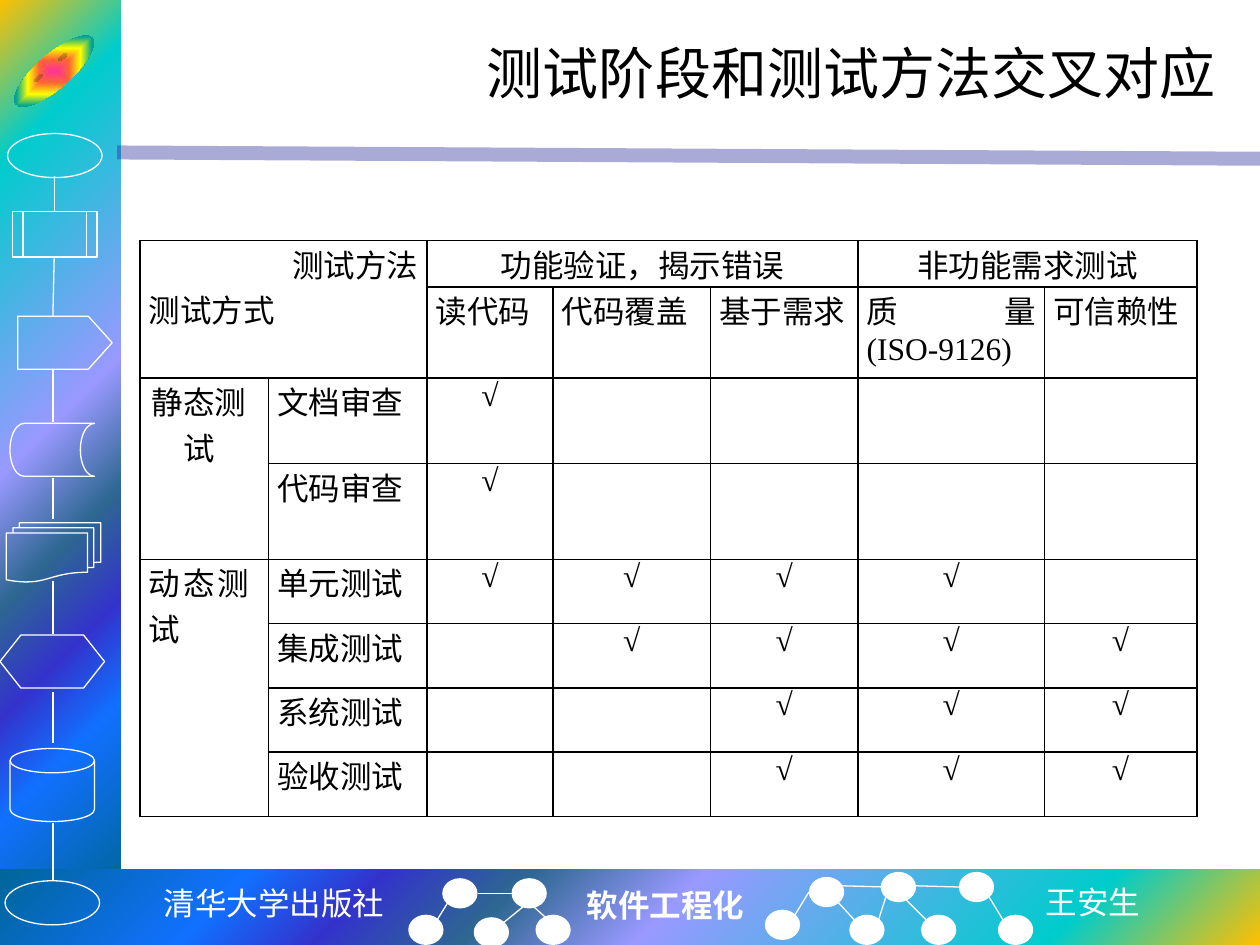
"""Build the slide that crosses test stages with test methods."""
from lxml import etree
from pptx import Presentation
from pptx.dml.color import RGBColor
from pptx.enum.shapes import MSO_CONNECTOR, MSO_SHAPE
from pptx.enum.text import MSO_ANCHOR, MSO_AUTO_SIZE, PP_ALIGN
from pptx.oxml.ns import qn
from pptx.util import Inches, Pt

STRAIGHT = MSO_CONNECTOR.STRAIGHT
RECTANGLE, OVAL, SMILEY = MSO_SHAPE.RECTANGLE, MSO_SHAPE.OVAL, MSO_SHAPE.SMILEY_FACE
LEFT, CENTER, RIGHT, JUSTIFY = PP_ALIGN.LEFT, PP_ALIGN.CENTER, PP_ALIGN.RIGHT, PP_ALIGN.JUSTIFY

BLACK = RGBColor(0x00, 0x00, 0x00)
WHITE = RGBColor(0xFF, 0xFF, 0xFF)
RULE_BLUE = RGBColor(0x26, 0x26, 0x99)
SERIF, SANS, MONO = "Times New Roman", "Noto Sans CJK SC", "Noto Sans Mono"

BAND_STOPS = [(0, "FFC000"), (16, "00CCCC"), (47, "9999FF"), (60, "2E6792"),
              (71, "3333CC"), (81, "1170FF"), (100, "006699")]
FACE_STOPS = [(0, "FF3399"), (25, "FF6633"), (50, "FFFF00"), (75, "01A78F"), (100, "3366FF")]
BANDS = [((0, 0, 0.96, 7.09), (0, 0, 100, 100)), ((0, 6.9, 10, 0.6), (100, 100, 0, 0))]

FLOW_SYMBOLS = [
    (OVAL, (0.06, 1.06, 0.75, 0.35)),
    (MSO_SHAPE.FLOWCHART_PREDEFINED_PROCESS, (0.1, 1.68, 0.67, 0.36)),
    (MSO_SHAPE.PENTAGON, (0.14, 2.51, 0.75, 0.42)),
    (MSO_SHAPE.FLOWCHART_STORED_DATA, (0.08, 3.36, 0.67, 0.42)),
    (MSO_SHAPE.FLOWCHART_MULTIDOCUMENT, (0.05, 4.15, 0.75, 0.47)),
    (MSO_SHAPE.FLOWCHART_PREPARATION, (0, 5.04, 0.83, 0.42)),
    (MSO_SHAPE.FLOWCHART_MAGNETIC_DISK, (0.08, 5.94, 0.67, 0.58)),
    (OVAL, (0.04, 6.99, 0.75, 0.35)),
]
FLOW_LINKS = [
    (0.43, 1.4, 0.43, 1.68), (0.43, 2.05, 0.42, 2.51), (0.42, 2.93, 0.42, 3.35),
    (0.42, 3.79, 0.42, 4.12), (0.42, 4.61, 0.42, 5.03), (0.42, 5.49, 0.42, 5.9),
    (0.42, 6.53, 0.42, 6.99),
]
NODE_SIZE = (0.28, 0.24)
NODES = [
    (3.51, 6.97), (4.06, 6.97), (3.24, 7.26), (3.76, 7.28), (4.25, 7.26), (6.42, 6.96),
    (6.99, 6.92), (7.61, 6.92), (6.07, 7.22), (6.74, 7.26), (7.31, 7.26), (7.92, 7.26),
]
NODE_LINKS = [
    (3.47, 7.3, 3.55, 7.17), (4, 7.32, 4.16, 7.19), (4.06, 7.09, 3.79, 7.09),
    (4.34, 7.29, 4.24, 7.2), (6.78, 7.3, 6.65, 7.16), (7.35, 7.3, 7.15, 7.1),
    (7.96, 7.3, 7.85, 7.12), (6.97, 7.31, 7.03, 7.12), (7.26, 7.03, 7.61, 7.04),
    (6.31, 7.26, 6.42, 7.08), (6.68, 7.03, 7.03, 7.04),
]
FOOTERS = [
    ("清华大学出版社", (1.19, 6.97, 1.97, 0.4), CENTER, MONO, False),
    ("软件工程化", (4.56, 6.98, 1.46, 0.4), LEFT, SERIF, True),
    ("王安生", (8.2, 6.96, 0.96, 0.4), LEFT, SANS, False),
]

TITLE = "测试阶段和测试方法交叉对应"
COLUMNS = [1.02, 1.26, 1, 1.25, 1.17, 1.48, 1.21]
ROWS = [0.37, 0.72, 0.68, 0.76, 0.51, 0.51, 0.51, 0.51]
METHODS = ["读代码", "代码覆盖", "基于需求", "质量(ISO-9126)", "可信赖性"]
STAGES = [("文档审查", "√----"), ("代码审查", "√----"), ("单元测试", "√√√√-"),
          ("集成测试", "-√√√√"), ("系统测试", "--√√√"), ("验收测试", "--√√√")]
MERGES = [(0, 0, 1, 1), (0, 2, 0, 4), (0, 5, 0, 6), (2, 0, 3, 0), (4, 0, 7, 0)]
HEADINGS = [
    (0, 0, "测试方法\n测试方式", (RIGHT, JUSTIFY)),
    (0, 2, "功能验证，揭示错误", (CENTER,)),
    (0, 5, "非功能需求测试", (CENTER,)),
    (2, 0, "静态测试", (CENTER,)),
    (4, 0, "动态测试", (JUSTIFY,)),
]


def inches(values):
    return [Inches(value) for value in values]


def format_text(frame, aligns, size, color, font, bold=False):
    for para, align in zip(frame.paragraphs, aligns):
        para.alignment = align
        for span in para.runs:
            span.font.size, span.font.name, span.font.bold = Pt(size), font, bold
            span.font.color.rgb = color
            if span.text != "√":
                etree.SubElement(span.font._element, qn("a:ea"), typeface=SANS)


def add_symbol(page, kind, place):
    shape = page.shapes.add_shape(kind, *inches(place))
    shape.shadow.inherit = False
    shape.fill.background()
    shape.line.color.rgb = WHITE
    shape.line.width = Pt(0.75)
    return shape


def fill_gradient(shape, stops, style, focus):
    empty = shape._element.spPr.find(qn("a:noFill"))
    gradient = etree.Element(qn("a:gradFill"), rotWithShape="1")
    stop_list = etree.SubElement(gradient, qn("a:gsLst"))
    for position, color in stops:
        stop = etree.SubElement(stop_list, qn("a:gs"), pos=str(position * 1000))
        etree.SubElement(stop, qn("a:srgbClr"), val=color)
    center = etree.SubElement(gradient, qn("a:path"), {"path": style})
    sides = {side: str(value * 1000) for side, value in zip("ltrb", focus)}
    etree.SubElement(center, qn("a:fillToRect"), sides)
    empty.getparent().replace(empty, gradient)


def add_line(page, ends, color=WHITE, width=0.75):
    line = page.shapes.add_connector(STRAIGHT, *inches(ends))
    line.line.color.rgb = color
    line.line.width = Pt(width)
    etree.SubElement(line._element.spPr, qn("a:effectLst"))
    return line


def add_decoration(page):
    for place, focus in BANDS:
        band = add_symbol(page, RECTANGLE, place)
        band.line.fill.background()
        fill_gradient(band, BAND_STOPS, "circle", focus)
    rule = add_line(page, (0.93, 1.21, 10, 1.26), RULE_BLUE, 8)
    color = next(rule._element.spPr.iter(qn("a:srgbClr")))
    etree.SubElement(color, qn("a:alpha"), val="39000")
    face = add_symbol(page, SMILEY, (0.03, 0.43, 0.8, 0.27))
    face.adjustments[0] = 0.047
    face.rotation = -41
    face.line.fill.background()
    fill_gradient(face, FACE_STOPS, "shape", (50, 50, 50, 50))
    for kind, place in FLOW_SYMBOLS:
        symbol = add_symbol(page, kind, place)
        if kind == MSO_SHAPE.PENTAGON:
            symbol.adjustments[0] = 0.45
    for corner in NODES:
        node = add_symbol(page, OVAL, corner + NODE_SIZE)
        node.fill.solid()
        node.fill.fore_color.rgb = WHITE
        node.line.fill.background()
    for ends in FLOW_LINKS + NODE_LINKS:
        add_line(page, ends)
    for text, place, align, font, bold in FOOTERS:
        frame = page.shapes.add_textbox(*inches(place)).text_frame
        frame.word_wrap = False
        frame.auto_size = MSO_AUTO_SIZE.SHAPE_TO_FIT_TEXT
        frame.text = text
        format_text(frame, [align], 18, WHITE, font, bold)


def style_cell(cell):
    cell.margin_left = cell.margin_right = Inches(0.07)
    cell.margin_top = cell.margin_bottom = 0
    properties = cell._tc.get_or_add_tcPr()
    for side in ("a:lnL", "a:lnR", "a:lnT", "a:lnB"):
        border = etree.SubElement(properties, qn(side), w=str(Pt(1)))
        solid = etree.SubElement(border, qn("a:solidFill"))
        etree.SubElement(solid, qn("a:srgbClr"), val=str(BLACK))
    cell.fill.background()


def add_matrix(page):
    place = inches((1.11, 1.91, sum(COLUMNS), sum(ROWS)))
    table = page.shapes.add_table(len(ROWS), len(COLUMNS), *place).table
    table.first_row = table.horz_banding = False
    for column, width in zip(table.columns, COLUMNS):
        column.width = Inches(width)
    for row, height in zip(table.rows, ROWS):
        row.height = Inches(height)
    for cell in table.iter_cells():
        style_cell(cell)
    for top, left, bottom, right in MERGES:
        table.cell(top, left).merge(table.cell(bottom, right))
    entries = HEADINGS + [(1, index, text, (JUSTIFY,)) for index, text in enumerate(METHODS, 2)]
    for row, (stage, marks) in enumerate(STAGES, 2):
        entries.append((row, 1, stage, (JUSTIFY,)))
        entries += [(row, column, mark, (CENTER,))
                    for column, mark in enumerate(marks, 2) if mark == "√"]
    for row, column, text, aligns in entries:
        frame = table.cell(row, column).text_frame
        frame.text = text
        format_text(frame, aligns, 18, BLACK, SERIF)
    for row in (2, 4):
        group = table.cell(row, 0)
        group.margin_right = Inches(0.15)
        group._tc.tcPr.set("vert", "eaVert")


def main():
    deck = Presentation()
    deck.slide_width, deck.slide_height = Inches(10), Inches(7.5)
    page = deck.slides.add_slide(deck.slide_layouts[5])
    add_decoration(page)
    title = page.shapes.title
    title.left, title.top, title.width, title.height = inches((1.25, 0.17, 8.5, 0.81))
    title.text_frame.text = TITLE
    title.text_frame.vertical_anchor = MSO_ANCHOR.MIDDLE
    format_text(title.text_frame, [RIGHT], 32, BLACK, SERIF)
    add_matrix(page)
    deck.save("out.pptx")


if __name__ == "__main__":
    main()
